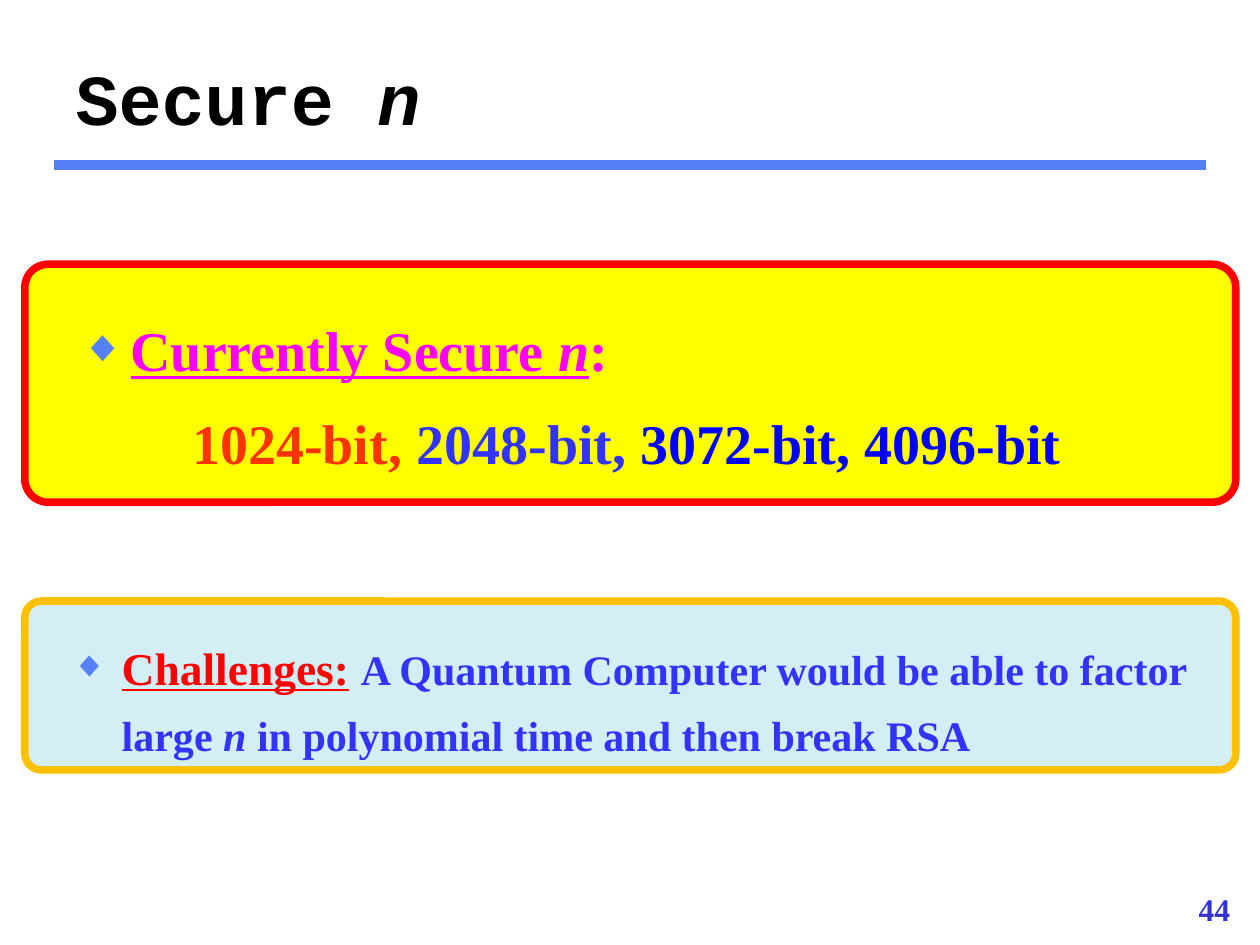
from lxml.etree import SubElement
from pptx import Presentation
from pptx.dml.color import RGBColor as RGB
from pptx.enum.shapes import MSO_CONNECTOR as Line, MSO_SHAPE as Shape
from pptx.enum.text import MSO_ANCHOR as Anchor, PP_ALIGN as Align
from pptx.oxml.ns import qn
from pptx.util import Pt

WHITE = RGB(0xFF, 0xFF, 0xFF)
BLACK = RGB(0x00, 0x00, 0x00)
RULE_BLUE = RGB(0x56, 0x80, 0xF8)
NUMBER_BLUE = RGB(0x33, 0x33, 0xCC)
YELLOW = RGB(0xFF, 0xFF, 0x00)
RED = RGB(0xFF, 0x00, 0x00)
PALE_BLUE = RGB(0xD3, 0xEE, 0xF5)
AMBER = RGB(0xFF, 0xC0, 0x00)
MAGENTA = RGB(0xFF, 0x00, 0xFF)
ORANGE = RGB(0xFF, 0x33, 0x00)
VIOLET = RGB(0x33, 0x33, 0xFF)
BLUE = RGB(0x00, 0x00, 0xFF)

SERIF = "Times New Roman"
MONO = "Courier New"
SPACE_BEFORE = 3.2


def add_run(paragraph, text, size, color, italic=False, underline=False, face=SERIF):
    run = paragraph.add_run()
    run.text = text
    font = run.font
    font.name, font.size, font.bold = face, Pt(size), True
    font.italic, font.underline = italic, underline
    font.color.rgb = color


def indent(paragraph, margin, first=0):
    properties = paragraph._p.get_or_add_pPr()
    properties.set("marL", str(Pt(margin)))
    properties.set("indent", str(Pt(first)))
    paragraph.level = 1
    paragraph.line_spacing = 1.3
    return properties


def add_bullet(paragraph, tab=None):
    properties = indent(paragraph, 42.5, -28.8)
    color = SubElement(properties, qn("a:buClr"))
    SubElement(color, qn("a:srgbClr"), val=str(RULE_BLUE))
    SubElement(properties, qn("a:buSzPct"), val="80000")
    SubElement(properties, qn("a:buFont"), typeface=SERIF)
    SubElement(properties, qn("a:buChar"), char="◆")
    if tab:
        tabs = SubElement(properties, qn("a:tabLst"))
        SubElement(tabs, qn("a:tab"), pos=str(Pt(tab)), algn="l")


def add_text(slide, left, top, width, height):
    frame = slide.shapes.add_textbox(Pt(left), Pt(top), Pt(width), Pt(height)).text_frame
    frame.word_wrap = True
    return frame


def add_panel(slide, box, fill, border):
    panel = slide.shapes.add_shape(Shape.ROUNDED_RECTANGLE, *map(Pt, box))
    panel.adjustments[0] = 0.098
    panel.shadow.inherit = False
    panel.fill.solid()
    panel.fill.fore_color.rgb = fill
    panel.line.color.rgb = border
    panel.line.width = Pt(4.33)


def add_panel_text(slide, left, top, width, height):
    frame = add_text(slide, left, top, width, height)
    frame.margin_top = Pt(3.6 + SPACE_BEFORE)
    return frame


def add_header(slide, left, top, width, height):
    title = slide.shapes.title
    title.left, title.top, title.width, title.height = map(Pt, (left, top, width, height))
    title.text_frame.vertical_anchor = Anchor.MIDDLE
    heading = title.text_frame.paragraphs[0]
    heading.alignment = Align.LEFT
    add_run(heading, "Secure ", 41, BLACK, face=MONO)
    add_run(heading, "n", 41, BLACK, italic=True, face=MONO)

    rule_y = Pt(top + height + 5.7)
    rule = slide.shapes.add_connector(
        Line.STRAIGHT, Pt(left - 5), rule_y, Pt(left + width + 5), rule_y)
    rule.line.color.rgb = RULE_BLUE
    rule.line.width = Pt(5.75)
    SubElement(rule._element.spPr, qn("a:effectLst"))


def add_page_number(slide, left, top, width, height):
    frame = add_text(slide, left, top, width, height)
    frame.vertical_anchor = Anchor.BOTTOM
    number = frame.paragraphs[0]
    number.alignment = Align.RIGHT
    add_run(number, "44", 18, NUMBER_BLUE)


def add_key_sizes(slide, left, top, width, height):
    add_panel(slide, (left, top, width, height), YELLOW, RED)
    frame = add_panel_text(slide, left + 10.8, top + 10.8, width - 39.6, height - 23)
    heading = frame.paragraphs[0]
    add_bullet(heading)
    add_run(heading, "Currently Secure ", 32, MAGENTA, underline=True)
    add_run(heading, "n", 32, MAGENTA, italic=True, underline=True)
    add_run(heading, ":", 32, MAGENTA)

    sizes = frame.add_paragraph()
    indent(sizes, 13.7)
    sizes.alignment = Align.CENTER
    sizes.space_before = Pt(SPACE_BEFORE)
    for bits, color in (("1024-bit, ", ORANGE), ("2048-bit, ", VIOLET),
                        ("3072-bit, 4096-bit", BLUE)):
        add_run(sizes, bits, 32, color)


def add_challenges(slide, left, top, width, height):
    add_panel(slide, (left, top, width, height), PALE_BLUE, AMBER)
    frame = add_panel_text(slide, left + 5.8, top + 5.8, width - 5.8, height - 17.3)
    challenge = frame.paragraphs[0]
    add_bullet(challenge, tab=63.4)
    add_run(challenge, "Challenges:", 26, RED, underline=True)
    add_run(challenge, " ", 26, VIOLET)
    add_run(challenge, "A Quantum Computer would be able to factor large ", 24, VIOLET)
    add_run(challenge, "n ", 24, VIOLET, italic=True)
    add_run(challenge, "in polynomial time and then break RSA", 24, VIOLET)


def main():
    deck = Presentation()
    deck.slide_width, deck.slide_height = Pt(720), Pt(540)
    slide = deck.slides.add_slide(deck.slide_layouts[5])
    slide.background.fill.solid()
    slide.background.fill.fore_color.rgb = WHITE
    add_header(slide, 36, 21.6, 648, 67)
    add_page_number(slide, 632.2, 504.7, 77.8, 28.8)
    add_key_sizes(slide, 14.2, 151, 692, 136)
    add_challenges(slide, 14.2, 343.5, 692, 96.5)
    deck.save("out.pptx")


if __name__ == "__main__":
    main()
